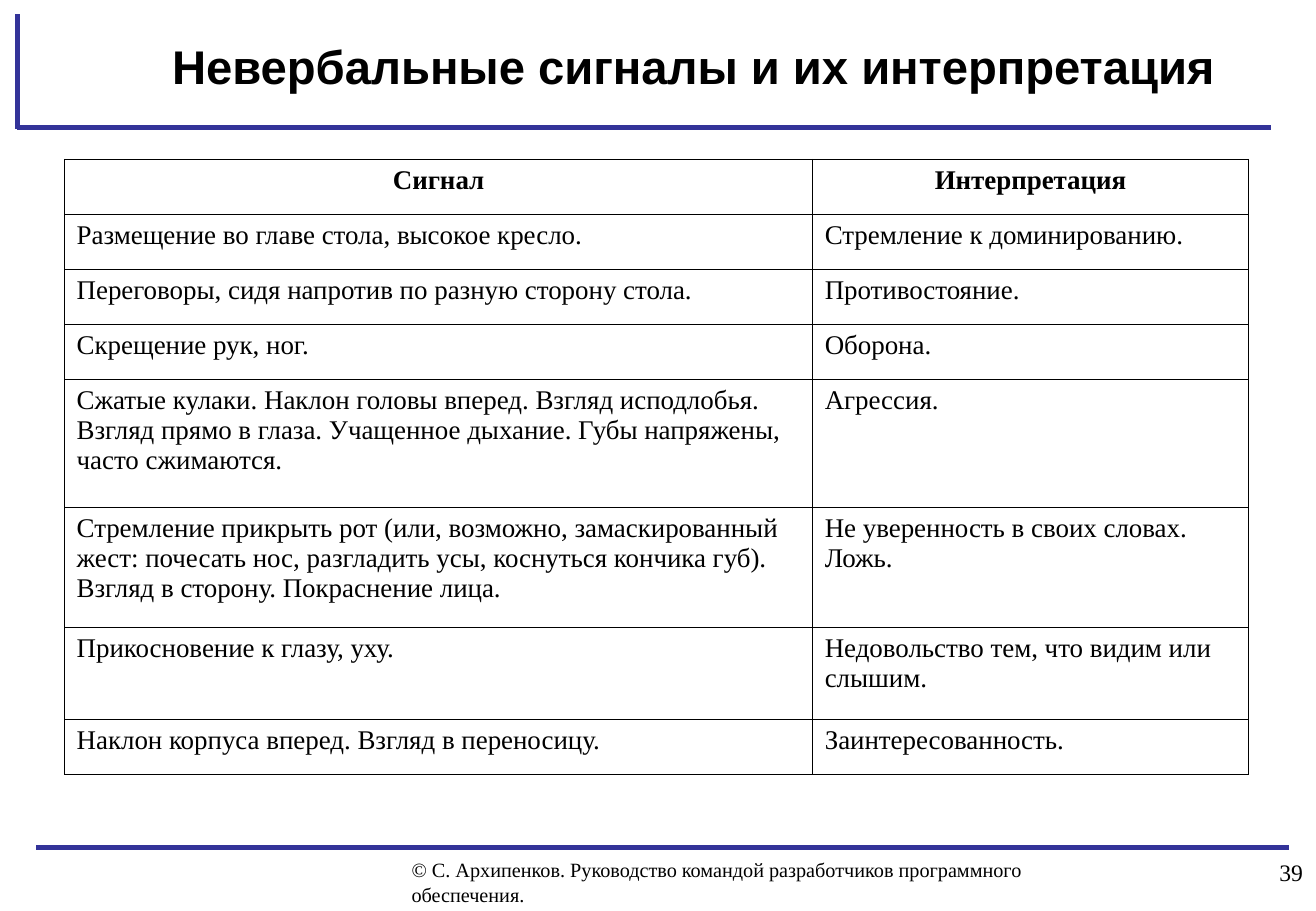
from lxml.etree import SubElement
from pptx import Presentation
from pptx.dml.color import RGBColor
from pptx.enum.shapes import MSO_CONNECTOR
from pptx.enum.text import MSO_ANCHOR, PP_ALIGN
from pptx.oxml.ns import qn
from pptx.util import Cm, Pt

BLACK = RGBColor(0x00, 0x00, 0x00)
NAVY = RGBColor(0x33, 0x33, 0x99)
SERIF = "Times New Roman"


def write(frame, text, align=PP_ALIGN.LEFT, **font_format):
    """Put one paragraph into a text frame with the given font values."""
    frame.word_wrap = True
    paragraph = frame.paragraphs[0]
    paragraph.alignment = align
    run = paragraph.add_run()
    run.text = text
    run.font.color.rgb = BLACK
    for name, value in font_format.items():
        setattr(run.font, name, value)


def add_cell_borders(cell):
    properties = cell._tc.get_or_add_tcPr()
    for position, side in enumerate(("a:lnL", "a:lnR", "a:lnT", "a:lnB")):
        border = SubElement(properties, qn(side), w=str(Pt(0.45)))
        fill = SubElement(border, qn("a:solidFill"))
        SubElement(fill, qn("a:srgbClr"), val=str(BLACK))
        properties.insert(position, border)


presentation = Presentation()
presentation.slide_width = Cm(27.53)
presentation.slide_height = Cm(19.05)
slide = presentation.slides.add_slide(presentation.slide_layouts[6])

# Frame rules: footer, under the title, left of the title
rules = [
    (0.76, 17.73, 26.97, 17.73),
    (0.36, 2.67, 26.59, 2.67),
    (0.36, 0.3, 0.36, 2.69),
]
for ends in rules:
    rule = slide.shapes.add_connector(
        MSO_CONNECTOR.STRAIGHT, *(Cm(length) for length in ends))
    rule.line.color.rgb = NAVY
    rule.line.width = Pt(3)
    SubElement(rule._element.spPr, qn("a:effectLst"))

# Title, copyright line and page number
captions = [
    ("Невербальные сигналы и их интерпретация",
     (3.35, 0.3, 22.83, 2.13), MSO_ANCHOR.MIDDLE,
     dict(name="Arial", size=Pt(28), bold=True)),
    ("© С. Архипенков. Руководство командой разработчиков программного обеспечения.",
     (8.36, 17.81, 14.53, 1.24), MSO_ANCHOR.TOP,
     dict(name=SERIF, size=Pt(12))),
    ("39",
     (24.16, 17.81, 3.35, 1.24), MSO_ANCHOR.TOP,
     dict(name=SERIF, size=Pt(14), align=PP_ALIGN.RIGHT)),
]
for text, place, anchor, text_format in captions:
    caption = slide.shapes.add_textbox(*(Cm(length) for length in place)).text_frame
    caption.vertical_anchor = anchor
    write(caption, text, **text_format)

# Table: row height in cm, signal, interpretation
signals = [
    (1.15, "Сигнал", "Интерпретация"),
    (1.15, "Размещение во главе стола, высокое кресло.", "Стремление к доминированию."),
    (1.15, "Переговоры, сидя напротив по разную сторону стола.", "Противостояние."),
    (1.15, "Скрещение рук, ног.", "Оборона."),
    (2.68, "Сжатые кулаки. Наклон головы вперед. Взгляд исподлобья. "
           "Взгляд прямо в глаза. Учащенное дыхание. Губы напряжены, "
           "часто сжимаются.", "Агрессия."),
    (2.51, "Стремление прикрыть рот (или, возможно, замаскированный "
           "жест: почесать нос, разгладить усы, коснуться кончика губ). "
           "Взгляд в сторону. Покраснение лица.",
           "Не уверенность в своих словах. Ложь."),
    (1.92, "Прикосновение к глазу, уху.", "Недовольство тем, что видим или слышим."),
    (1.15, "Наклон корпуса вперед. Взгляд в переносицу.", "Заинтересованность."),
]
column_widths = (15.65, 9.12)
table_height = sum(height for height, *_ in signals)
table = slide.shapes.add_table(
    len(signals), len(column_widths), Cm(1.35), Cm(3.33),
    Cm(sum(column_widths)), Cm(table_height)).table
table.first_row = table.horz_banding = False
for column, width in zip(table.columns, column_widths):
    column.width = Cm(width)

for row_index, (height, *texts) in enumerate(signals):
    table.rows[row_index].height = Cm(height)
    is_header = row_index == 0
    for column_index, text in enumerate(texts):
        cell = table.cell(row_index, column_index)
        cell.fill.background()
        add_cell_borders(cell)
        write(cell.text_frame, text,
              align=PP_ALIGN.CENTER if is_header else PP_ALIGN.LEFT,
              name=SERIF, size=Pt(16), bold=is_header)

presentation.save("out.pptx")
